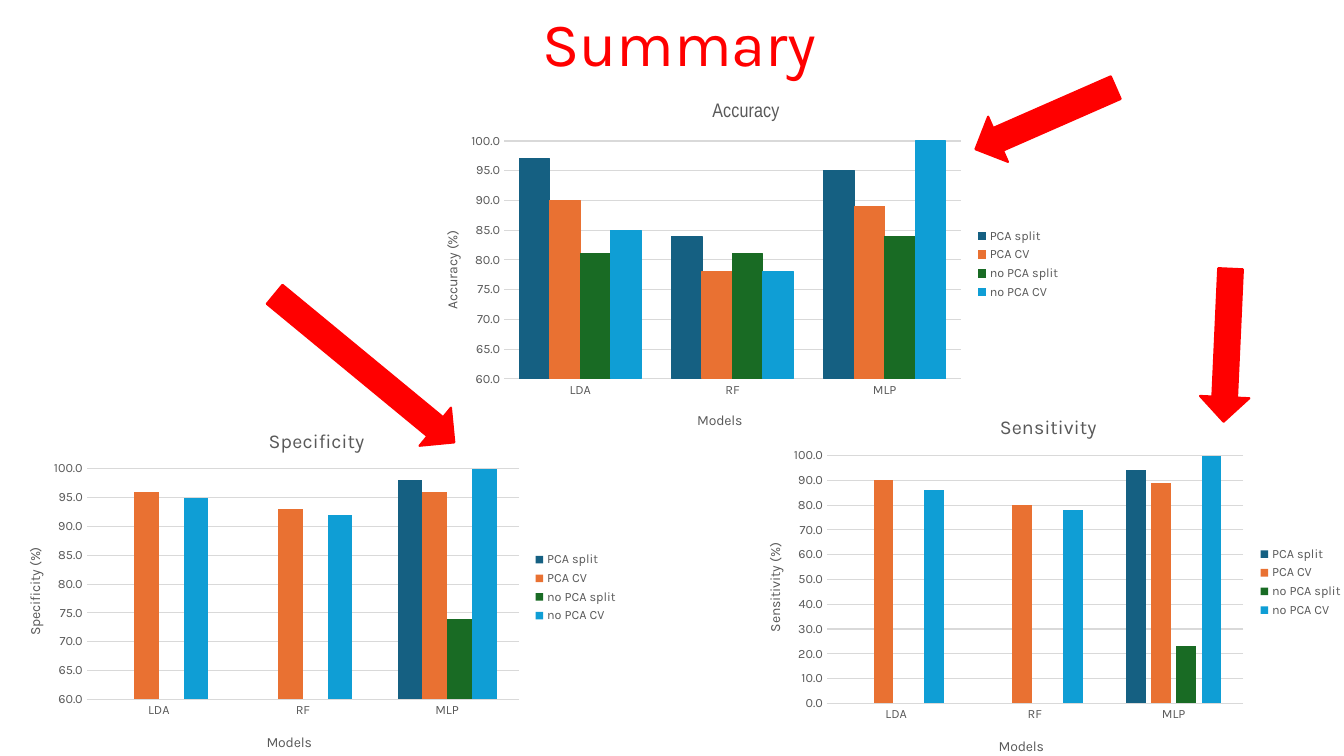
from dataclasses import dataclass

from lxml import etree
from pptx import Presentation
from pptx.chart.data import CategoryChartData
from pptx.dml.color import RGBColor
from pptx.enum.chart import XL_CHART_TYPE, XL_LEGEND_POSITION, XL_TICK_MARK
from pptx.enum.shapes import MSO_SHAPE
from pptx.enum.text import MSO_ANCHOR, PP_ALIGN
from pptx.oxml.ns import qn
from pptx.util import Inches, Pt

CLUSTERED = XL_CHART_TYPE.COLUMN_CLUSTERED
LEGEND_RIGHT = XL_LEGEND_POSITION.RIGHT
NO_TICK = XL_TICK_MARK.NONE
RIGHT_ARROW = MSO_SHAPE.RIGHT_ARROW
MIDDLE = MSO_ANCHOR.MIDDLE
CENTER = PP_ALIGN.CENTER

FONT = "Karla"
COLORS = {
    "red": "FF0000",
    "text": "595959",
    "black": "000000",
    "grid": "D9D9D9",
    "PCA split": "156082",
    "PCA CV": "E97132",
    "no PCA split": "196B24",
    "no PCA CV": "0F9ED5",
}
MODELS = ["LDA", "RF", "MLP"]
SERIES_NAMES = ["PCA split", "PCA CV", "no PCA split", "no PCA CV"]
ARROW_HEIGHT = 0.49

Box = tuple[float, float, float, float]
Point = tuple[float, float]


@dataclass
class MetricChart:
    name: str
    box: Box
    plot: Box
    title_at: Point
    models_at: Point
    value_title_at: Point
    values: list[list[float | None]]
    gap: int
    overlap: int = 0
    minimum: float = 0
    title_font: str = FONT
    outlined: bool = False


@dataclass
class Arrow:
    left: float
    top: float
    width: float
    rotation: float


CHARTS = [
    MetricChart("Accuracy", (4.14, 0.83, 6.48, 3.58), (5.0, 1.4, 4.53, 2.36),
                (7.03, 0.96), (6.89, 4.05), (4.37, 2.26),
                [[97, 84, 95], [90, 78, 89], [81, 81, 84], [85, 78, 100]],
                gap=100, minimum=60, title_font="Arial Narrow", outlined=True),
    MetricChart("Specificity", (0, 4.04, 6.23, 3.58), (0.86, 4.65, 4.29, 2.29),
                (2.63, 4.21), (2.62, 7.25), (0.23, 5.4),
                [[None, None, 98], [96, 93, 96], [None, None, 74], [95, 92, 100]],
                gap=182, minimum=60),
    MetricChart("Sensitivity", (7.34, 3.9, 6.08, 3.75), (8.2, 4.52, 4.13, 2.46),
                (9.88, 4.08), (9.88, 7.29), (7.57, 5.36),
                [[None, None, 94], [90, 80, 89], [None, None, 23], [86, 78, 100]],
                gap=219, overlap=-27),
]
ARROWS = [
    Arrow(2.46, 3.41, 2.31, 39.5),
    Arrow(9.61, 0.93, 1.52, 156.3),
    Arrow(11.41, 3.18, 1.52, 92.6),
]


def color(name: str) -> RGBColor:
    return RGBColor.from_string(COLORS[name])


def style_font(font, size: float, color_name: str, name: str = FONT) -> None:
    font.size, font.name, font.bold = Pt(size), name, False
    font.color.rgb = color(color_name)


def set_layout(element, frame: Box, place: tuple[float, ...], index: int) -> None:
    """Fix a chart part at a place on the slide, given in inches."""
    layout = element.find(qn("c:layout"))
    if layout is None:
        layout = etree.Element(qn("c:layout"))
        element.insert(index, layout)
    for child in list(layout):
        layout.remove(child)
    manual = etree.SubElement(layout, qn("c:manualLayout"))
    settings = [("xMode", "edge"), ("yMode", "edge")]
    if len(place) == 4:
        settings.insert(0, ("layoutTarget", "inner"))
    fractions = [(place[0] - frame[0]) / frame[2], (place[1] - frame[1]) / frame[3]]
    fractions += [size / total for size, total in zip(place[2:], frame[2:])]
    settings += [(tag, f"{value:.4f}") for tag, value in zip("xywh", fractions)]
    for tag, value in settings:
        etree.SubElement(manual, qn(f"c:{tag}")).set("val", value)


def write_title(title, text: str, size: float, font_name: str, frame: Box, place: Point) -> None:
    title.text_frame.text = text
    style_font(title.text_frame.paragraphs[0].font, size, "text", font_name)
    set_layout(title._element, frame, place, 1)


def add_metric_chart(slide, metric: MetricChart) -> None:
    data = CategoryChartData(number_format="0.0")
    data.categories = MODELS
    for name, values in zip(SERIES_NAMES, metric.values):
        data.add_series(name, values)
    chart = slide.shapes.add_chart(CLUSTERED, *map(Inches, metric.box), data).chart
    style_font(chart.font, 10, "black")

    # Titles and plot area
    chart.has_title = True
    category_axis, value_axis = chart.category_axis, chart.value_axis
    for title, text, size, font_name, place in (
        (chart.chart_title, metric.name, 14, metric.title_font, metric.title_at),
        (category_axis.axis_title, "Models", 10, FONT, metric.models_at),
        (value_axis.axis_title, f"{metric.name} (%)", 10, FONT, metric.value_title_at),
    ):
        write_title(title, text, size, font_name, metric.box, place)
    set_layout(chart._chartSpace.chart.plotArea, metric.box, metric.plot, 0)

    # Axes
    for axis in (category_axis, value_axis):
        axis.major_tick_mark = axis.minor_tick_mark = NO_TICK
        style_font(axis.tick_labels.font, 9, "text")
    value_axis.minimum_scale, value_axis.maximum_scale = metric.minimum, 100
    value_axis.tick_labels.number_format = "0.0"
    value_axis.tick_labels.number_format_is_linked = False
    value_axis.format.line.fill.background()
    for line in (category_axis.format.line, value_axis.major_gridlines.format.line):
        line.color.rgb = color("grid")
        line.width = Pt(0.75)

    # Legend
    chart.has_legend = True
    chart.legend.position = LEGEND_RIGHT
    chart.legend.include_in_layout = False
    style_font(chart.legend.font, 9, "text")

    # Columns
    plot = chart.plots[0]
    plot.vary_by_categories = False
    plot.gap_width, plot.overlap = metric.gap, metric.overlap
    for series in plot.series:
        series.format.fill.solid()
        series.format.fill.fore_color.rgb = color(series.name)
        if metric.outlined:
            series.format.line.color.rgb = color(series.name)
            series.format.line.width = Pt(0.75)


def add_arrow(slide, arrow: Arrow) -> None:
    shape = slide.shapes.add_shape(
        RIGHT_ARROW, *map(Inches, (arrow.left, arrow.top, arrow.width, ARROW_HEIGHT)))
    shape.rotation = arrow.rotation
    shape.shadow.inherit = False
    shape.fill.solid()
    shape.fill.fore_color.rgb = color("red")
    shape.line.color.rgb = color("red")
    shape.line.width = Pt(1.5)


def add_heading(slide, text: str) -> None:
    frame = slide.shapes.add_textbox(*map(Inches, (0.99, -0.26, 11.5, 1.45))).text_frame
    frame.word_wrap = True
    frame.vertical_anchor = MIDDLE
    frame.text = text
    paragraph = frame.paragraphs[0]
    paragraph.alignment = CENTER
    paragraph.line_spacing = 0.9
    style_font(paragraph.font, 44, "red")


def main() -> None:
    presentation = Presentation()
    presentation.slide_width, presentation.slide_height = Inches(13.33), Inches(7.5)
    slide = presentation.slides.add_slide(presentation.slide_layouts[6])
    add_heading(slide, "Summary")
    for metric in CHARTS:
        add_metric_chart(slide, metric)
    for arrow in ARROWS:
        add_arrow(slide, arrow)
    presentation.save("out.pptx")


if __name__ == "__main__":
    main()
